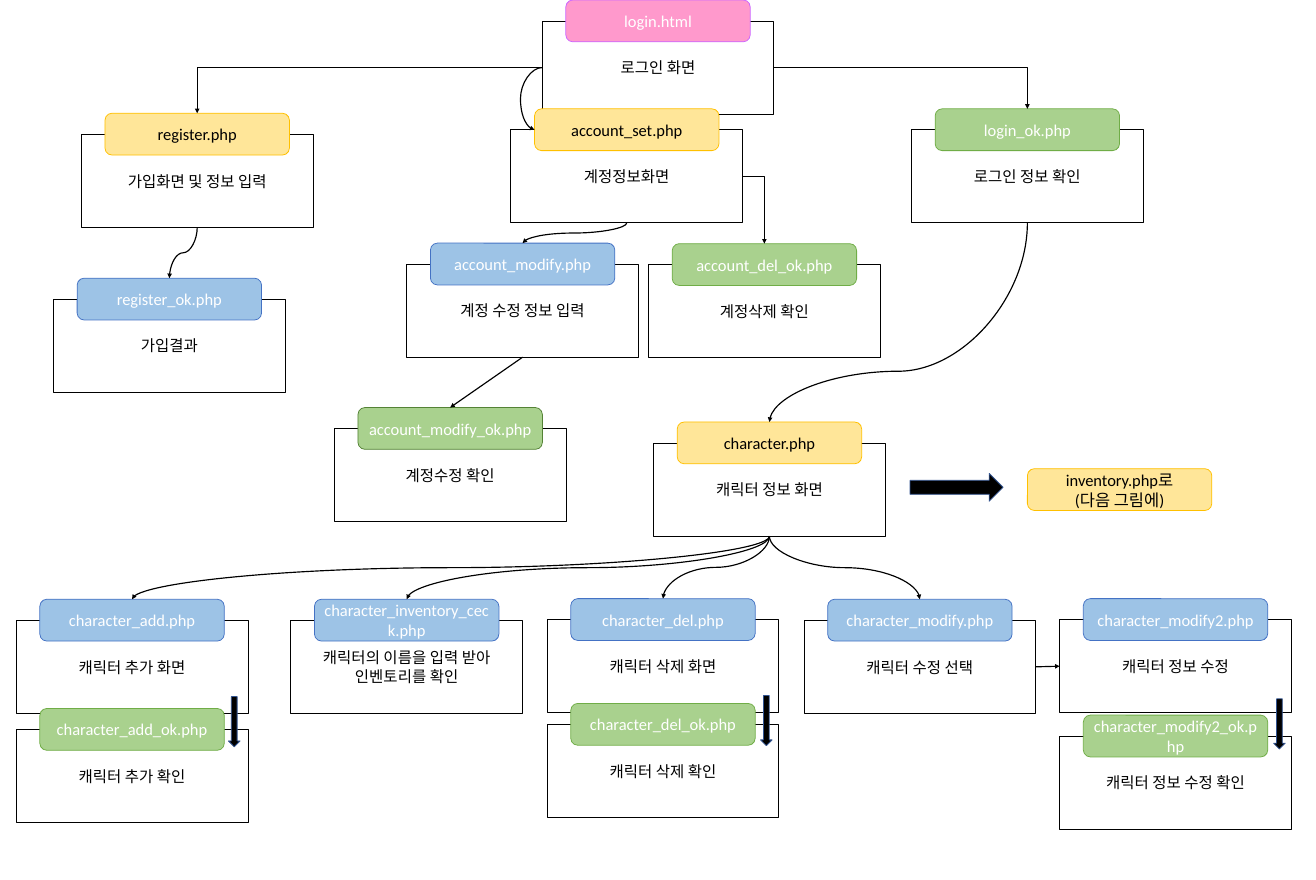
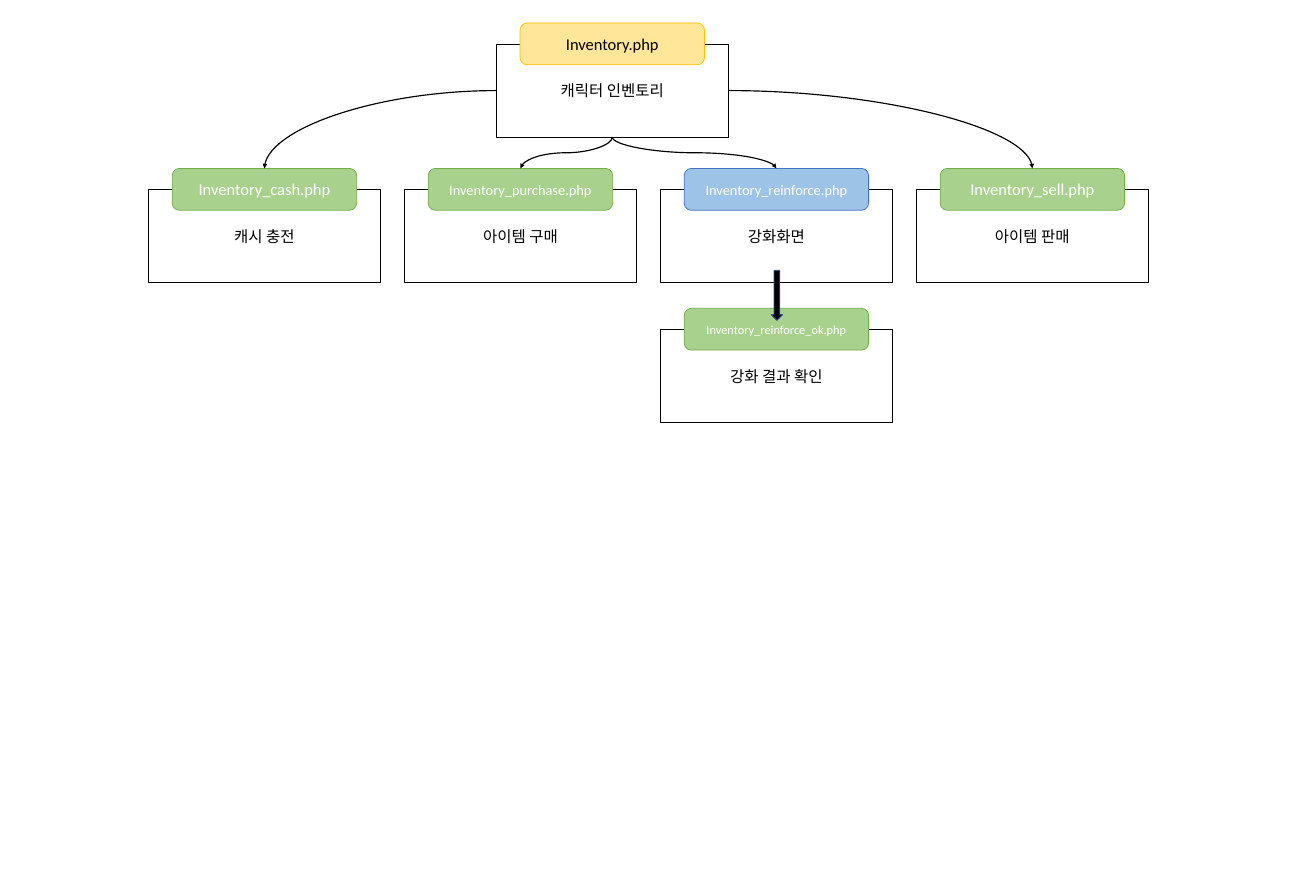
from pptx import Presentation
from pptx.dml.color import RGBColor
from pptx.enum.shapes import MSO_CONNECTOR as CONN, MSO_SHAPE as SHAPE
from pptx.enum.text import MSO_ANCHOR as ANCHOR, PP_ALIGN as ALIGN
from pptx.oxml.ns import qn
from pptx.util import Pt
from lxml import etree

FONT = "Calibri"
BLACK, WHITE, ARROW_EDGE = "000000", "FFFFFF", "325491"
BOX_W, BOX_H = 299.5, 120.2
TAB_X, TAB_Y, TAB_W, TAB_H = 30.6, -27.2, 238.3, 54
BODY_SIZE, TAB_SIZE = 20, 21.3
TOP, LEFT, BOTTOM, RIGHT = range(4)
STYLES = {
    "start": ("FF99CC", "CC66FF", WHITE),
    "page": ("FFE699", "FFC000", BLACK),
    "form": ("9DC3E6", "4472C4", WHITE),
    "result": ("A9D18E", "70AD47", WHITE),
    "result_dark": ("A9D18E", "548235", WHITE),
}

ACCOUNT_CARDS = [
    ("login.html", "로그인 화면", "start", 700.6, 27.2),
    ("character.php", "캐릭터 정보 화면", "page", 844.6, 572.4),
    ("register.php", "가입화면 및 정보 입력", "page", 105.1, 173.5),
    ("account_set.php", "계정정보화면", "page", 660.2, 167.8),
    ("account_modify.php", "계정 수정 정보 입력", "form", 525.6, 341.3),
    ("account_del_ok.php", "계정삭제 확인", "result", 838.1, 342),
    ("register_ok.php", "가입결과", "form", 69.1, 386.6),
    ("character_add.php", "캐릭터 추가 화면", "form", 20.9, 801.4),
    ("character_modify.php", "캐릭터 수정 선택", "form", 1039, 801.4),
    ("character_del.php", "캐릭터 삭제 화면", "form", 707, 800.6),
    ("character_inventory_ceck.php", "캐릭터의 이름을 입력 받아 인벤토리를 확인",
     "form", 375.8, 801.4),
    ("account_modify_ok.php", "계정수정 확인", "result_dark", 432, 553.7),
    ("login_ok.php", "로그인 정보 확인", "result", 1177.9, 167.8),
    ("character_add_ok.php", "캐릭터 추가 확인", "result", 20.9, 942.5),
    ("character_del_ok.php", "캐릭터 삭제 확인", "result", 707, 936),
    ("character_modify2.php", "캐릭터 정보 수정", "form", 1369.4, 800.6),
    ("character_modify2_ok.php", "캐릭터 정보 수정 확인", "result", 1369.4, 951.1),
]
ACCOUNT_LINKS = [
    ("login.html", LEFT, "register.php", TOP, "bentConnector2"),
    ("login.html", RIGHT, "login_ok.php", TOP, "bentConnector2"),
    ("login.html", LEFT, "account_set.php", LEFT, "curvedConnector3", 2.85),
    ("login_ok.php", BOTTOM, "character.php", TOP, "curvedConnector3", 0.745),
    ("register.php", BOTTOM, "register_ok.php", TOP, "curvedConnector3", 0.5),
    ("account_set.php", BOTTOM, "account_modify.php", TOP, "curvedConnector3", 0.5),
    ("account_set.php", RIGHT, "account_del_ok.php", TOP, "bentConnector2"),
    ("account_modify.php", BOTTOM, "account_modify_ok.php", TOP, "line"),
    *(("character.php", BOTTOM, f"character_{name}.php", TOP, "curvedConnector3", 0.5)
      for name in ("add", "inventory_ceck", "del", "modify")),
]

INVENTORY_ROW = [
    ("Inventory_cash.php", "캐시 충전", "result", 21.3),
    ("Inventory_purchase.php", "아이템 구매", "result", 18.6),
    ("Inventory_reinforce.php", "강화화면", "form", 18.6),
    ("Inventory_sell.php", "아이템 판매", "result", 21.3),
]
ROW_X, ROW_Y, ROW_STEP = 192, 244.8, 330.8
INVENTORY_CARDS = [
    ("Inventory.php", "캐릭터 인벤토리", "page", 641.5, 56.9),
    *((name, body, style, ROW_X + i * ROW_STEP, ROW_Y, size)
      for i, (name, body, style, size) in enumerate(INVENTORY_ROW)),
    ("Inventory_reinforce_ok.php", "강화 결과 확인", "result",
     ROW_X + 2 * ROW_STEP, 425.5, 15.9),
]
INVENTORY_LINKS = [
    ("Inventory.php", LEFT, "Inventory_cash.php", TOP, "curvedConnector2"),
    ("Inventory.php", BOTTOM, "Inventory_purchase.php", TOP, "curvedConnector3", 0.5),
    ("Inventory.php", BOTTOM, "Inventory_reinforce.php", TOP, "curvedConnector3", 0.5),
    ("Inventory.php", RIGHT, "Inventory_sell.php", TOP, "curvedConnector2"),
]


def rgb(value):
    """Turn a hex string into a colour."""
    return RGBColor.from_string(value)


def add_block(slide, kind, box, fill, line):
    """Add a filled, outlined preset shape."""
    sp = slide.shapes.add_shape(kind, *map(Pt, box))
    sp.shadow.inherit = False
    sp.fill.solid()
    sp.fill.fore_color.rgb = rgb(fill)
    sp.line.color.rgb = rgb(line)
    sp.line.width = Pt(1)
    return sp


def write(sp, text, size, colour):
    """Write centred text, one paragraph a line."""
    tf = sp.text_frame
    for key, value in {"word_wrap": True, "vertical_anchor": ANCHOR.MIDDLE}.items():
        setattr(tf, key, value)
    for i, line in enumerate(text.split("\n")):
        p = tf.paragraphs[0] if i == 0 else tf.add_paragraph()
        p.alignment = ALIGN.CENTER
        r = p.add_run()
        r.text = line
        for key, value in {"name": FONT, "size": Pt(size)}.items():
            setattr(r.font, key, value)
        r.font.color.rgb = rgb(colour)


def add_tab(slide, text, style, x, y, size=TAB_SIZE):
    """Add a rounded file name label."""
    fill, line, colour = STYLES[style]
    sp = add_block(slide, SHAPE.ROUNDED_RECTANGLE, (x, y, TAB_W, TAB_H), fill, line)
    write(sp, text, size, colour)
    return sp


def add_card(slide, name, body, style, x, y, size=TAB_SIZE):
    """Add a description box with its file name tab."""
    box = add_block(slide, SHAPE.RECTANGLE, (x, y, BOX_W, BOX_H), WHITE, BLACK)
    write(box, body, BODY_SIZE, BLACK)
    return box, add_tab(slide, name, style, x + TAB_X, y + TAB_Y, size)


def turn_downward(c):
    """Rotate a connector so that it leaves and arrives vertically."""
    x1, y1, x2, y2 = c.begin_x, c.begin_y, c.end_x, c.end_y
    w, h = y2 - y1, abs(x2 - x1)
    places = {"left": (x1 + x2 - w) // 2, "top": (y1 + y2 - h) // 2, "width": w, "height": h}
    for key, value in places.items():
        setattr(c, key, value)
    xfrm = c._element.spPr.find(qn("a:xfrm"))
    goes_right = x2 > x1
    xfrm.set("rot", str((270 if goes_right else 90) * 60000))
    xfrm.set("flipH", str(int(goes_right)))


def add_link(slide, start, start_site, end, end_site, preset, bend=None):
    """Join two shapes with an arrow of the given preset."""
    c = slide.shapes.add_connector(CONN.STRAIGHT, 0, 0, 0, 0)
    c.begin_connect(start, start_site)
    c.end_connect(end, end_site)
    c.line.color.rgb = rgb(BLACK)
    c.line.width = Pt(1.5)
    sp_pr = c._element.spPr
    geom = sp_pr.find(qn("a:prstGeom"))
    geom.set("prst", preset)
    if bend is not None:
        guides = geom.find(qn("a:avLst"))
        if guides is None:
            guides = etree.SubElement(geom, qn("a:avLst"))
        etree.SubElement(guides, qn("a:gd"), name="adj1", fmla=f"val {round(bend * 100000)}")
    etree.SubElement(sp_pr.find(qn("a:ln")), qn("a:tailEnd"), type="triangle")
    etree.SubElement(sp_pr, qn("a:effectLst"))
    if start_site == BOTTOM and preset != "line":
        turn_downward(c)


def add_down_arrow(slide, x, y):
    """Add a small black block arrow pointing down."""
    add_block(slide, SHAPE.DOWN_ARROW, (x, y, 15, 64.8), BLACK, ARROW_EDGE)


def add_flow(slide, cards, links):
    """Place cards, join them and return them by file name."""
    placed = {card[0]: add_card(slide, *card) for card in cards}
    for start, start_site, end, end_site, *look in links:
        add_link(slide, placed[start][0], start_site, placed[end][1], end_site, *look)
    return placed


def account_slide(slide):
    """Build the login, account and character flow."""
    placed = add_flow(slide, ACCOUNT_CARDS, ACCOUNT_LINKS)
    add_link(slide, placed["character_modify.php"][0], RIGHT,
             placed["character_modify2.php"][0], LEFT, "line")
    for x, y in ((1645.9, 902.9), (982.8, 898.6), (295.2, 900)):
        add_down_arrow(slide, x, y)
    add_block(slide, SHAPE.RIGHT_ARROW, (1176.1, 611.6, 120.2, 36), BLACK, ARROW_EDGE)
    add_tab(slide, "inventory.php로\n(다음 그림에)", "page", 1327.7, 605.5)


def inventory_slide(slide):
    """Build the inventory flow."""
    add_flow(slide, INVENTORY_CARDS, INVENTORY_LINKS)
    add_down_arrow(slide, 996.5, 349.2)


def main():
    """Build and save the presentation."""
    prs = Presentation()
    prs.slide_width, prs.slide_height = Pt(1700.64), Pt(1136.88)
    for build in (account_slide, inventory_slide):
        build(prs.slides.add_slide(prs.slide_layouts[6]))
    prs.save("out.pptx")


if __name__ == "__main__":
    main()
